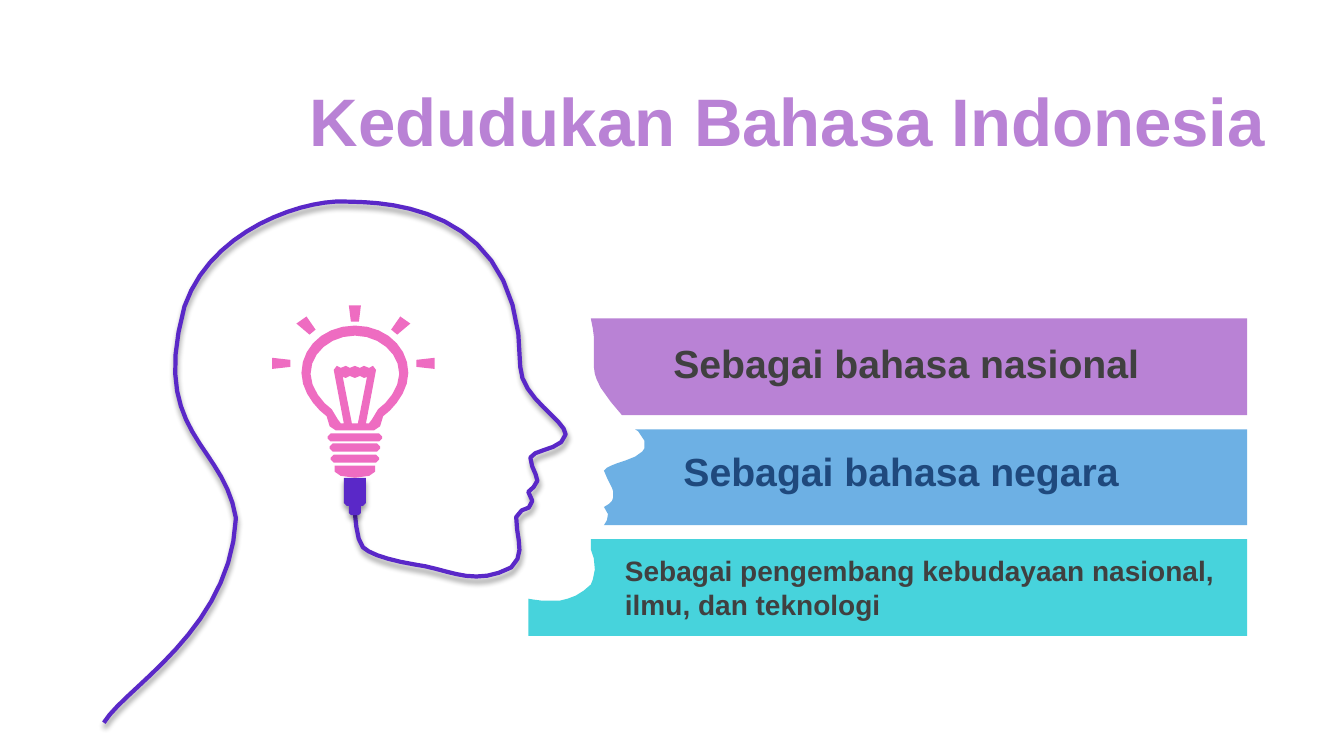
"""Build a slide on the standing of Bahasa Indonesia, with a head outline and a light bulb."""
import math

import lxml.etree
import pptx
import pptx.dml.color
import pptx.enum.text
import pptx.util

Inches = pptx.util.Inches
colour = pptx.dml.color.RGBColor.from_string

PURPLE, BLUE, TEAL = "B982D5", "6DB0E4", "47D3DC"
VIOLET, PINK, GREY, NAVY = "5A28C8", "EE6CC1", "404040", "1F497D"
SHADOW = (
    '<a:effectLst xmlns:a="http://schemas.openxmlformats.org/drawingml/2006/main">'
    '<a:outerShdw blurRad="50800" dist="38100" dir="5400000" algn="t" rotWithShape="0">'
    '<a:srgbClr val="000000"><a:alpha val="40000"/></a:srgbClr>'
    '</a:outerShdw></a:effectLst>'
)

deck = pptx.Presentation()
deck.slide_width, deck.slide_height = Inches(13.33), Inches(7.5)
slide = deck.slides.add_slide(deck.slide_layouts[6])


def trace(path, axis=None):
    """Turn points and six-number curves into points, mirrored about the axis if given."""
    points = []
    for step in path:
        if len(step) == 2:
            points.append(step)
            continue
        knots = [points[-1], step[:2], step[2:4], step[4:]]
        length = sum(math.dist(p, q) for p, q in zip(knots, knots[1:]))
        count = min(14, 1 + int(8 * length))
        for i in range(1, count + 1):
            t = i / count
            weights = ((1 - t) ** 3, 3 * t * (1 - t) ** 2, 3 * t * t * (1 - t), t ** 3)
            points.append(tuple(sum(w * k[n] for w, k in zip(weights, knots)) for n in (0, 1)))
    if axis is not None:
        points += [(2 * axis - x, y) for x, y in reversed(points) if abs(x - axis) > 0.001]
    return points


def label(text, left, top, width, height, size, color, align=pptx.enum.text.PP_ALIGN.LEFT):
    """Add a bold text box, centred vertically."""
    frame = slide.shapes.add_textbox(*map(Inches, (left, top, width, height))).text_frame
    frame.word_wrap = True
    frame.vertical_anchor = pptx.enum.text.MSO_ANCHOR.MIDDLE
    paragraph = frame.paragraphs[0]
    paragraph.alignment = align
    run = paragraph.add_run()
    run.text = text
    run.font.name, run.font.size, run.font.bold = "Arial", pptx.util.Pt(size), True
    run.font.color.rgb = colour(color)


nose_edge = [
    (6.17, 4.12), (6.06, 3.99), (5.96, 3.85), (5.92, 3.77), (5.9, 3.71), (5.89, 3.64),
    (5.89, 3.34), (5.88, 3.26), (5.86, 3.16),
]
lips_edge = [
    (5.99, 5.21), (6.02, 5.16), (6.03, 5.1), (5.99, 5.03), (6.04, 5), (6.07, 4.97),
    (6.08, 4.94), (6.08, 4.87), (6.07, 4.84), (6.02, 4.74), (5.99, 4.67), (6.02, 4.64),
    (6.06, 4.62), (6.11, 4.6), (6.2, 4.57), (6.3, 4.53), (6.37, 4.48), (6.39, 4.45),
    (6.39, 4.37), (6.37, 4.34), (6.33, 4.28), (6.3, 4.26),
]
chin_edge = [
    (5.24, 6.31), (5.24, 5.94), (5.3, 5.95), (5.38, 5.96), (5.55, 5.96), (5.63, 5.94),
    (5.71, 5.91), (5.79, 5.86), (5.86, 5.8), (5.88, 5.75), (5.9, 5.65), (5.89, 5.54),
    (5.86, 5.45), (5.86, 5.35),
]
head = [
    (3.52, 5.07), (3.52, 5.07, 3.53, 5.36, 3.6, 5.43), (3.67, 5.5, 3.87, 5.56, 4.11, 5.6),
    (4.44, 5.64, 4.69, 5.83, 5.07, 5.63), (5.22, 5.49, 5.12, 5.35, 5.12, 5.13),
    (5.15, 5.02, 5.28, 5.08, 5.28, 4.97), (5.28, 4.91, 5.26, 4.91, 5.24, 4.88),
    (5.27, 4.84, 5.32, 4.83, 5.33, 4.77), (5.33, 4.71, 5.26, 4.63, 5.26, 4.54),
    (5.3, 4.45, 5.58, 4.47, 5.61, 4.31), (5.61, 4.17, 5.17, 3.95, 5.16, 3.64),
    (5.17, 1.97, 3.73, 2.01, 3.42, 2), (3.03, 1.98, 2.1, 2.26, 1.83, 3.04),
    (1.48, 4.31, 2.22, 4.39, 2.34, 5.14), (2.29, 6.25, 1.24, 6.82, 1.03, 7.17),
]

MIDDLE = 3.52
plug = [
    (MIDDLE, 4.74), (3.63, 4.74), (3.63, 4.99), (3.63, 5.01, 3.62, 5.02, 3.6, 5.02),
    (3.58, 5.02), (3.58, 5.09), (3.58, 5.1, 3.58, 5.11, 3.56, 5.11),
]
glass_outside = [
    (MIDDLE, 3.23), (3.82, 3.23, 4.05, 3.44, 4.05, 3.7), (4.05, 3.88, 3.91, 4.05, 3.8, 4.13),
    (3.77, 4.16, 3.78, 4.18, 3.77, 4.23), (3.76, 4.26, 3.74, 4.27, 3.71, 4.27),
]
glass_inside = [
    (MIDDLE, 3.33), (3.76, 3.33, 3.96, 3.5, 3.96, 3.71), (3.96, 3.85, 3.84, 4, 3.75, 4.06),
    (3.71, 4.1, 3.71, 4.1, 3.69, 4.16), (3.69, 4.2, 3.7, 4.2, 3.66, 4.2), (3.63, 4.2),
    (3.73, 3.67), (3.73, 3.65, 3.72, 3.64, 3.7, 3.63), (3.66, 3.65), (3.61, 3.63),
    (3.57, 3.65), (MIDDLE, 3.63),
]
filament = [(MIDDLE, 3.75), (3.57, 3.73), (3.61, 3.75), (3.64, 3.74), (3.55, 4.2)]
cap = [(MIDDLE, 4.62), (3.72, 4.62), (3.72, 4.68), (3.72, 4.71, 3.63, 4.74, MIDDLE, 4.74)]
top_ray = [(3.58, 3.03), (3.56, 3.19)]
side_rays = [
    [(3.97, 3.14), (4.07, 3.21), (3.94, 3.32), (3.88, 3.27)],
    [(4.31, 3.55), (4.31, 3.66), (4.13, 3.64), (4.13, 3.57)],
]

halves = [glass_outside, glass_inside, filament, cap, top_ray]
for top, reach in ((4.3, 0.27), (4.4, 0.25), (4.51, 0.24)):
    edge, bend = MIDDLE + reach, MIDDLE + reach - 0.03
    halves.append([(bend, top), (edge, top + 0.03), (edge, top + 0.05), (bend, top + 0.08)])
bulb = [trace(half, MIDDLE) for half in halves]
for ray in side_rays:
    bulb += [ray, [(7.01 - x, y) for x, y in ray]]

bands = []
for top, edge, fill in ((3.16, nose_edge, PURPLE), (4.26, lips_edge, BLUE), (5.35, chin_edge, TEAL)):
    bands.append(([[(12.37, top), (12.37, edge[0][1])] + edge], fill, None, False))

for contours, fill, line, shaded in bands + [
    ([trace(head)], None, VIOLET, True),
    ([trace(plug, MIDDLE)], VIOLET, None, True),
    (bulb, PINK, None, False),
]:
    builder = None
    for contour in contours:
        points = [(Inches(x), Inches(y)) for x, y in contour]
        if builder is None:
            builder = slide.shapes.build_freeform(*points[0])
        else:
            builder.move_to(*points[0])
        builder.add_line_segments(points[1:], close=fill is not None)
    shape = builder.convert_to_shape()
    shape.shadow.inherit = False
    if fill:
        shape.fill.solid()
        shape.fill.fore_color.rgb = colour(fill)
        shape.line.fill.background()
    else:
        shape.fill.background()
        shape.line.color.rgb = colour(line)
        shape.line.width = pptx.util.Pt(3)
    if shaded:
        properties = shape.element.spPr
        plain = properties.find("{*}effectLst")
        properties.replace(plain, lxml.etree.fromstring(SHADOW))

label("Sebagai bahasa nasional", 6.58, 3.31, 5.08, 0.57, size=28, color=GREY)
label("Sebagai bahasa negara", 6.68, 4.39, 5.08, 0.57, size=28, color=NAVY)
label("Sebagai pengembang kebudayaan nasional, ilmu, dan teknologi",
      6.1, 5.44, 6.27, 0.77, size=20, color=GREY)
label("Kedudukan Bahasa Indonesia", 2.82, 0.73, 9.99, 0.91, size=48, color=PURPLE,
      align=pptx.enum.text.PP_ALIGN.CENTER)

deck.save("out.pptx")
